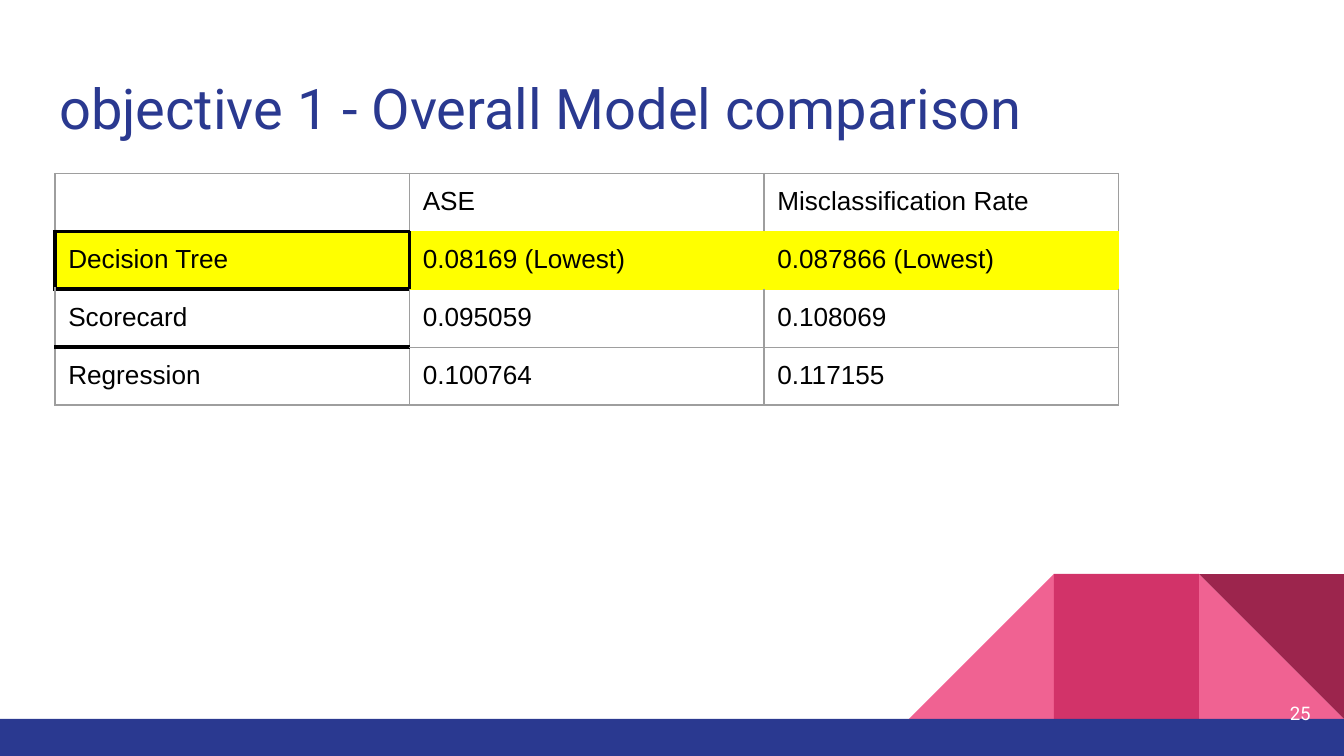
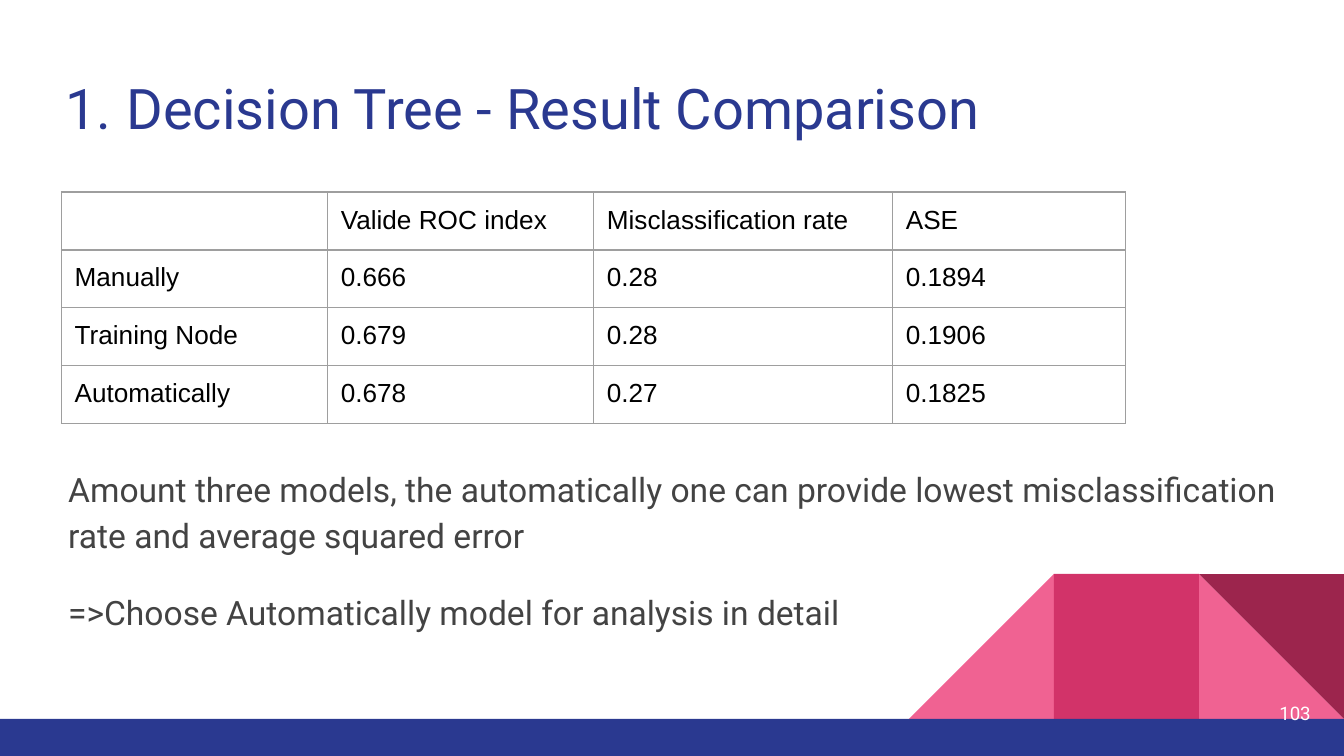
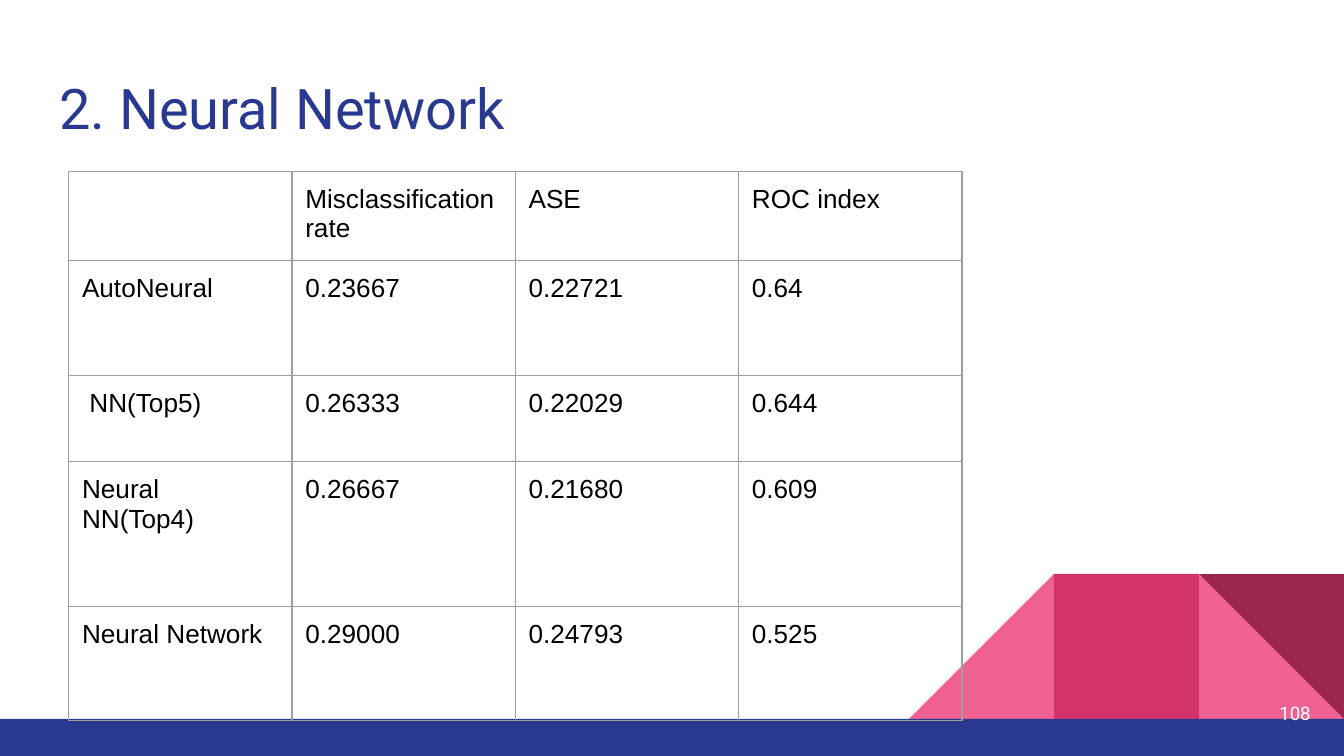
"""Build three model comparison slides with tables and a shared footer design."""
from lxml.etree import SubElement
from pptx import Presentation
from pptx.dml.color import RGBColor
from pptx.enum.shapes import MSO_SHAPE
from pptx.enum.text import MSO_ANCHOR, PP_ALIGN
from pptx.oxml.ns import qn
from pptx.util import Cm, Pt

NAVY, PINK, ROSE, WINE = "2A3990", "F06292", "D23369", "9C254D"
WHITE, BLACK, GREY, DARK_GREY, YELLOW = "FFFFFF", "000000", "9E9E9E", "434343", "FFFF00"
SLIDE_WIDTH, SLIDE_HEIGHT = 25.4, 14.29
TILE, BAND_TOP, INSET = 2.74, 13.59, 0.25

SLIDES = [
    {
        "title": "objective 1 - Overall Model comparison",
        "number": "25",
        "position": (1.04, 3.28),
        "columns": [6.7] * 3,
        "rows": [1.06] * 4,
        "highlight": 1,
        "cells": [
            ["", "ASE", "Misclassification Rate"],
            ["Decision Tree", "0.08169 (Lowest)", "0.087866 (Lowest)"],
            ["Scorecard", "0.095059", "0.108069"],
            ["Regression", "0.100764", "0.117155"],
        ],
    },
    {
        "title": "Decision Tree - Result Comparison",
        "numbered": True,
        "number": "103",
        "body": [
            "Amount three models, the automatically one can provide lowest "
            "misclassification rate and average squared error",
            "=>Choose Automatically model for analysis in detail",
        ],
        "position": (1.16, 3.63),
        "columns": [5.03, 5.03, 5.65, 4.4],
        "rows": [1.06] * 4,
        "cells": [
            ["", "Valide ROC index", "Misclassification rate", "ASE"],
            ["Manually", "0.666", "0.28", "0.1894"],
            ["Training Node", "0.679", "0.28", "0.1906"],
            ["Automatically", "0.678", "0.27", "0.1825"],
        ],
    },
    {
        "title": "2. Neural Network",
        "number": "108",
        "position": (1.3, 3.24),
        "columns": [4.22] * 4,
        "rows": [1.63, 2.17, 1.63, 2.73, 2.16],
        "cells": [
            ["", "Misclassification rate", "ASE", "ROC index"],
            ["AutoNeural", "0.23667", "0.22721", "0.64"],
            ["NN(Top5)", "0.26333", "0.22029", "0.644"],
            ["Neural\vNN(Top4)", "0.26667", "0.21680", "0.609"],
            ["Neural Network", "0.29000", "0.24793", "0.525"],
        ],
    },
]


def color(hex_string):
    return RGBColor.from_string(hex_string)


def write_text(holder, text, size, font_name, hex_string):
    text_frame = holder.text_frame
    text_frame.text = text
    text_frame.word_wrap = True
    holder_margins = text_frame if hasattr(holder, "shape_type") else holder
    for side in ("left", "top", "right", "bottom"):
        setattr(holder_margins, f"margin_{side}", Cm(INSET))
    for paragraph in text_frame.paragraphs:
        for run in paragraph.runs:
            run.font.size = Pt(size)
            run.font.name = font_name
            run.font.color.rgb = color(hex_string)
    return text_frame


presentation = Presentation()
presentation.slide_width = Cm(SLIDE_WIDTH)
presentation.slide_height = Cm(SLIDE_HEIGHT)

tile_top = BAND_TOP - TILE
decorations = [
    (MSO_SHAPE.RIGHT_TRIANGLE, SLIDE_WIDTH - TILE, tile_top, TILE, TILE, PINK, 0, False),
    (MSO_SHAPE.RIGHT_TRIANGLE, SLIDE_WIDTH - 3 * TILE, tile_top, TILE, TILE, PINK, 0, True),
    (MSO_SHAPE.RECTANGLE, SLIDE_WIDTH - 2 * TILE, tile_top, TILE, TILE, ROSE, 0, False),
    (MSO_SHAPE.RIGHT_TRIANGLE, SLIDE_WIDTH - TILE, tile_top, TILE, TILE, WINE, 180, False),
    (MSO_SHAPE.RECTANGLE, 0, BAND_TOP, SLIDE_WIDTH, SLIDE_HEIGHT - BAND_TOP, NAVY, 0, False),
]

for content in SLIDES:
    slide = presentation.slides.add_slide(presentation.slide_layouts[6])
    slide.background.fill.solid()
    slide.background.fill.fore_color.rgb = color(WHITE)

    for preset, left, top, width, height, fill, rotation, flipped in decorations:
        shape = slide.shapes.add_shape(preset, Cm(left), Cm(top), Cm(width), Cm(height))
        shape.shadow.inherit = False
        shape.fill.solid()
        shape.fill.fore_color.rgb = color(fill)
        shape.line.fill.background()
        shape.rotation = rotation
        if flipped:
            shape._element.spPr.find(qn("a:xfrm")).set("flipH", "1")

    title = slide.shapes.add_textbox(Cm(0.87), Cm(1.14), Cm(23.67), Cm(1.68))
    title_frame = write_text(title, content["title"], 30, "Roboto", NAVY)
    if content.get("numbered"):
        properties = title_frame.paragraphs[0]._p.get_or_add_pPr()
        properties.set("marL", str(Cm(1.27)))
        properties.set("indent", str(Cm(-1.16)))
        bullet_color = SubElement(properties, qn("a:buClr"))
        SubElement(bullet_color, qn("a:srgbClr"), val=NAVY)
        SubElement(properties, qn("a:buFont"), typeface="Roboto")
        SubElement(properties, qn("a:buAutoNum"), type="arabicPeriod")

    if "body" in content:
        body = slide.shapes.add_textbox(Cm(1.04), Cm(8.5), Cm(23.5), Cm(4.2))
        body_frame = write_text(body, "\n".join(content["body"]), 18, "Roboto", DARK_GREY)
        for paragraph in body_frame.paragraphs:
            paragraph.line_spacing = 1.15
        paragraph.space_before = paragraph.space_after = Pt(16)

    page_number = slide.shapes.add_textbox(Cm(23.5), Cm(12.93), Cm(1.52), Cm(1.09))
    number_frame = write_text(page_number, content["number"], 10, "Roboto", WHITE)
    number_frame.vertical_anchor = MSO_ANCHOR.MIDDLE
    number_frame.paragraphs[0].alignment = PP_ALIGN.RIGHT

    columns, rows, cells = content["columns"], content["rows"], content["cells"]
    left, top = content["position"]
    table = slide.shapes.add_table(
        len(rows), len(columns), Cm(left), Cm(top), Cm(sum(columns)), Cm(sum(rows))
    ).table
    table.first_row = table.horz_banding = False
    for column, width in zip(table.columns, columns):
        column.width = Cm(width)
    for row, height in zip(table.rows, rows):
        row.height = Cm(height)

    highlight = content.get("highlight")
    for row_index, labels in enumerate(cells):
        for column_index, label in enumerate(labels):
            cell = table.cell(row_index, column_index)
            cell_frame = write_text(cell, label, 14, "Arial", BLACK)
            if not label:
                SubElement(cell_frame.paragraphs[0]._p, qn("a:endParaRPr"), sz="1400")

            borders = dict.fromkeys("LRTB", GREY)
            if highlight is not None:
                first = column_index == 0
                accent = BLACK if first else YELLOW
                offset = row_index - highlight
                if offset == 0:
                    borders = dict.fromkeys("LRTB", accent)
                    if column_index == 1:
                        borders["L"] = BLACK
                if offset == -1 or (first and offset == 1):
                    borders["B"] = accent
                if offset == 1 or (first and offset == 2):
                    borders["T"] = accent
            cell_properties = cell._tc.get_or_add_tcPr()
            for side, border_color in borders.items():
                width = Pt(2.25 if border_color == BLACK else 0.75)
                line = SubElement(cell_properties, qn(f"a:ln{side}"), w=str(width))
                line_fill = SubElement(line, qn("a:solidFill"))
                SubElement(line_fill, qn("a:srgbClr"), val=border_color)

            if row_index == highlight:
                cell.fill.solid()
                cell.fill.fore_color.rgb = color(YELLOW)
            else:
                cell.fill.background()

table.cell(2, 0).margin_left = Cm(0.39)

presentation.save("out.pptx")
